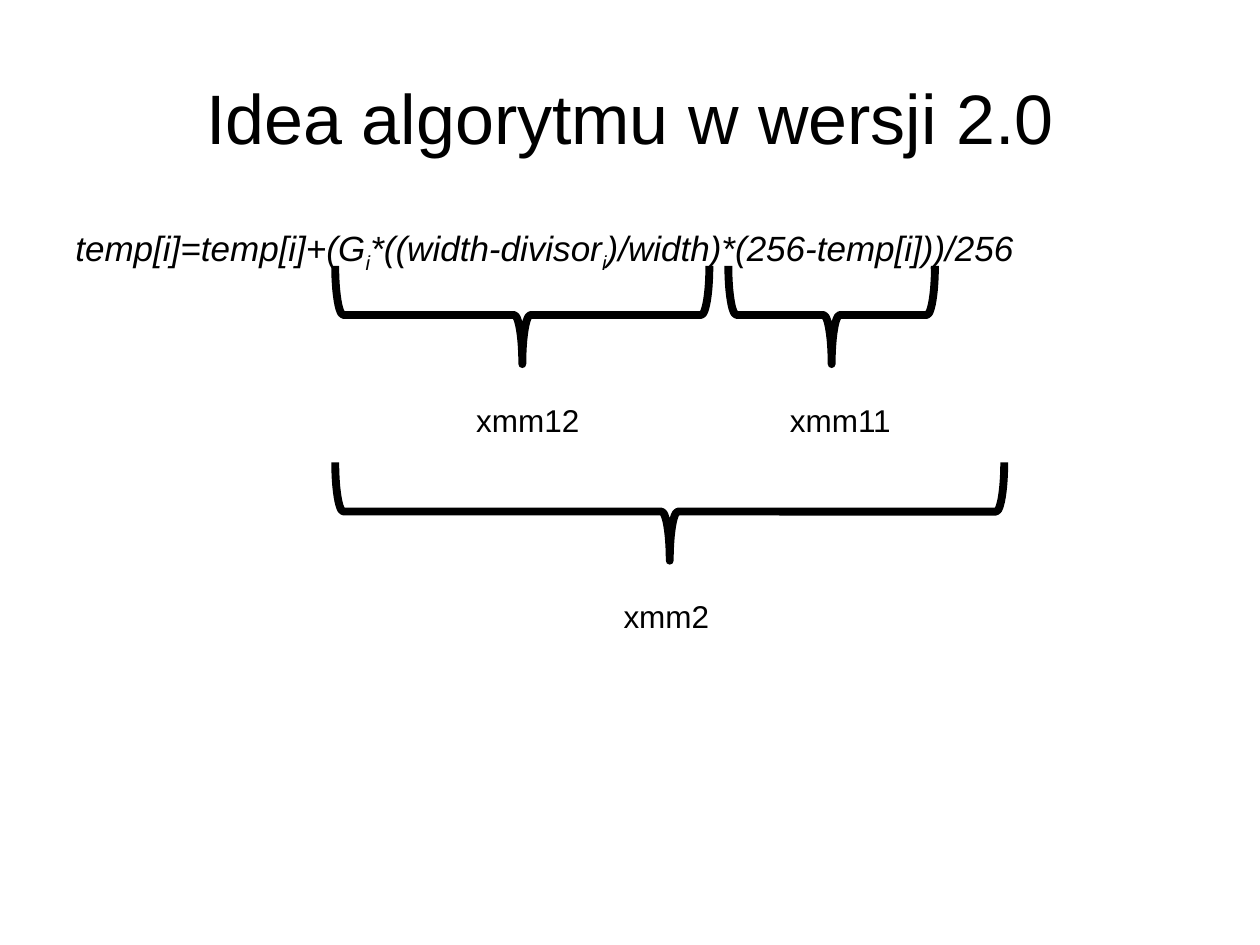
from dataclasses import dataclass

from pptx import Presentation
from pptx.dml.color import RGBColor
from pptx.enum.shapes import MSO_SHAPE
from pptx.enum.text import MSO_ANCHOR, PP_ALIGN
from pptx.util import Inches, Pt


@dataclass(frozen=True)
class Theme:
    """Colours, font and sizes of the slide."""
    ink: RGBColor = RGBColor(0, 0, 0)
    font: str = "Arial"
    title: Pt = Pt(40)
    formula: Pt = Pt(20)
    label: Pt = Pt(18)
    line: Pt = Pt(4.5)


@dataclass(frozen=True)
class Box:
    """A rectangle in inches."""
    left: float
    top: float
    width: float
    height: float


@dataclass(frozen=True)
class Register:
    """A register label and the brace above it."""
    name: str
    brace: Box
    label: Box


THEME = Theme()
BRACE_H = 0.78
REGISTERS = [
    Register("xmm12", Box(2.66, 2.11, 2.97, BRACE_H), Box(3.68, 3.13, 1.02, 0.4)),
    Register("xmm11", Box(5.78, 2.11, 1.64, BRACE_H), Box(6.17, 3.13, 1.02, 0.4)),
    Register("xmm2", Box(2.66, 3.67, 5.31, BRACE_H), Box(4.85, 4.69, 0.88, 0.4)),
]
# Even parts sit on the line, odd parts are subscripts.
FORMULA = ["temp[i]=temp[i]+(G", "i", "*((width-divisor", "i",
           ")/width)*(256-temp[i]))/256"]


def set_all(target: object, values: dict) -> None:
    """Set attributes from a dict of format values."""
    for name, value in values.items():
        setattr(target, name, value)


def add_text(s, box: Box, parts: list[str], size: Pt, italic: bool = False,
             frame: dict | None = None, para: dict | None = None) -> None:
    """Add a one-paragraph text box whose odd parts are subscripts."""
    sp = s.shapes.add_textbox(Inches(box.left), Inches(box.top),
                              Inches(box.width), Inches(box.height))
    tf = sp.text_frame
    set_all(tf, {"word_wrap": True, **(frame or {})})
    p = tf.paragraphs[0]
    set_all(p, para or {})
    for i, text in enumerate(parts):
        r = p.add_run()
        r.text = text
        set_all(r.font, {"name": THEME.font, "size": size, "italic": italic})
        r.font.color.rgb = THEME.ink
        if i % 2:
            r.font._element.set("baseline", "-25000")


def add_brace(s, box: Box) -> None:
    """Add a brace that fills the box and points down."""
    # The unrotated shape is upright and shares the centre of the box.
    left = box.left + (box.width - box.height) / 2
    top = box.top + (box.height - box.width) / 2
    sp = s.shapes.add_shape(MSO_SHAPE.RIGHT_BRACE, Inches(left), Inches(top),
                            Inches(box.height), Inches(box.width))
    sp.rotation = 90
    sp.shadow.inherit = False
    sp.fill.background()
    sp.line.color.rgb = THEME.ink
    sp.line.width = THEME.line


def main() -> None:
    """Build and save the slide."""
    prs = Presentation()
    set_all(prs, {"slide_width": Inches(10), "slide_height": Inches(7.5)})
    s = prs.slides.add_slide(prs.slide_layouts[6])
    add_text(s, Box(0.5, 0.3, 9, 1.25), ["Idea algorytmu w wersji 2.0"], THEME.title,
             frame={"vertical_anchor": MSO_ANCHOR.MIDDLE},
             para={"alignment": PP_ALIGN.CENTER})
    add_text(s, Box(0.5, 1.75, 9, 0.59), FORMULA, THEME.formula, italic=True,
             para={"space_before": Pt(5)})
    for reg in REGISTERS:
        add_brace(s, reg.brace)
        add_text(s, reg.label, [reg.name], THEME.label, frame={"word_wrap": False})
    prs.save("out.pptx")


main()
